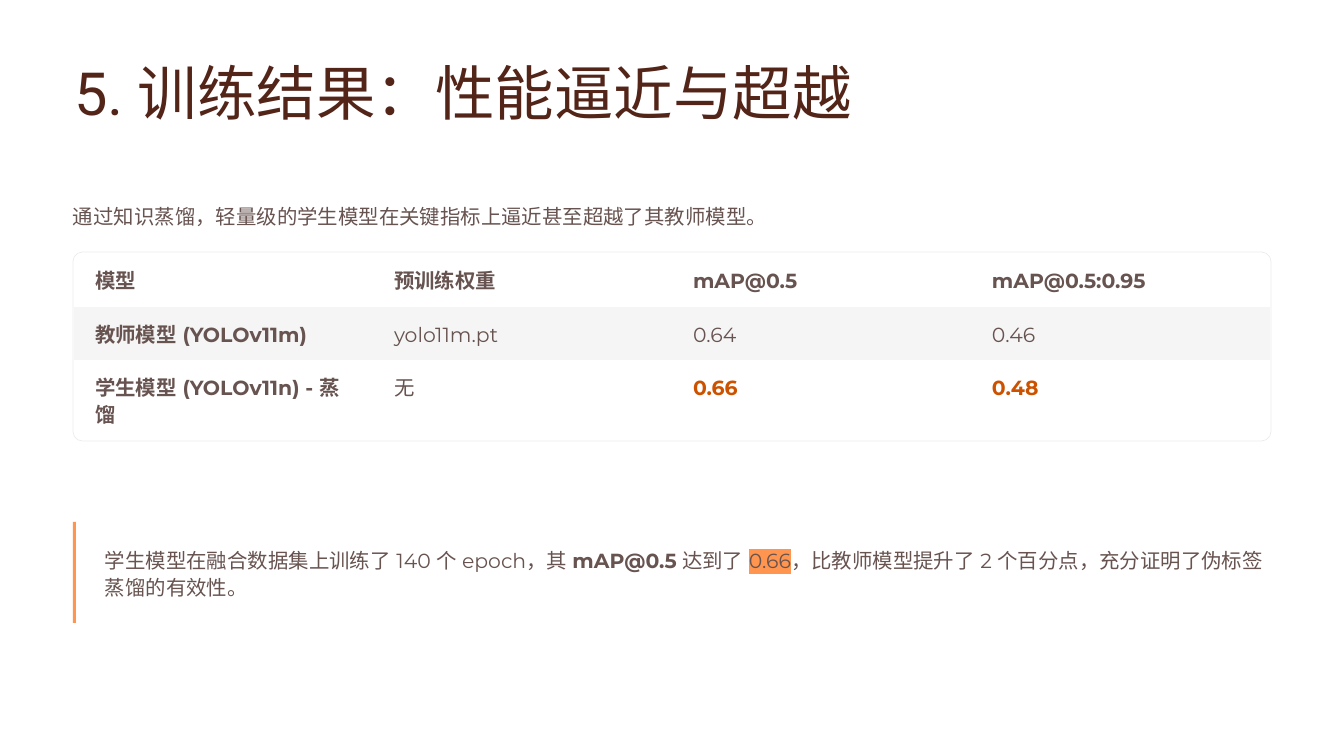
from dataclasses import dataclass

from lxml.etree import SubElement
from pptx import Presentation
from pptx.dml.color import RGBColor
from pptx.enum.shapes import MSO_SHAPE
from pptx.enum.text import MSO_ANCHOR, MSO_AUTO_SIZE, PP_ALIGN
from pptx.oxml.ns import qn
from pptx.util import Emu, Pt


@dataclass(frozen=True)
class Theme:
    """Colours, fonts and type sizes of the slide."""
    title: str = "532418"
    body: str = "67534F"
    best: str = "CC5200"
    accent: str = "FF954F"
    band: str = "F5F5F5"
    frame: str = "000000"
    title_font: str = "Roboto"
    body_font: str = "Montserrat"
    title_size: float = 51
    title_line: float = 66.5
    body_size: float = 17.5
    body_line: float = 23


THEME = Theme()
TITLE = "5. 训练结果：性能逼近与超越"
INTRO = "通过知识蒸馏，轻量级的学生模型在关键指标上逼近甚至超越了其教师模型。"
RESULTS = [
    ["模型", "预训练权重", "mAP@0.5", "mAP@0.5:0.95"],
    ["教师模型 (YOLOv11m)", "yolo11m.pt", "0.64", "0.46"],
    ["学生模型 (YOLOv11n) - 蒸馏", "无", "0.66", "0.48"],
]
ROW_HEIGHTS = [54, 53, 81]
FINDING = [
    ("学生模型在融合数据集上训练了 140 个 epoch，其 ", ""),
    ("mAP@0.5", "bold"),
    (" 达到了 ", ""),
    ("0.66", "highlight"),
    ("，比教师模型提升了 2 个百分点，充分证明了伪标签蒸馏的有效性。", ""),
]


def px(n):
    """Turn slide pixels into EMU."""
    return Emu(round(n * 914400 / 84))


def rgb(value):
    """Return the colour for a hex string."""
    return RGBColor.from_string(value)


def style_run(r, size, color, name, bold=False, highlight=None):
    """Format one run for Latin and Chinese text."""
    r.font.size = Pt(size)
    r.font.bold = bold
    r.font.color.rgb = rgb(color)
    rPr = r.font._element
    if highlight:
        mark = SubElement(rPr, qn("a:highlight"))
        SubElement(mark, qn("a:srgbClr"), val=highlight)
    r.font.name = name
    for tag in ("a:ea", "a:cs"):
        SubElement(rPr, qn(tag), typeface=name)


def style_body(p, color=THEME.body, bold=False):
    """Format a body paragraph and its runs."""
    p.line_spacing = Pt(THEME.body_line)
    for r in p.runs:
        style_run(r, THEME.body_size, color, THEME.body_font, bold)


def clear_insets(tf):
    """Remove the inner margins, anchor text at the top and wrap it."""
    tf.margin_left = tf.margin_right = tf.margin_top = tf.margin_bottom = 0
    tf.vertical_anchor = MSO_ANCHOR.TOP
    tf.auto_size = MSO_AUTO_SIZE.NONE
    tf.word_wrap = True


def add_text_frame(slide, x, y, w, h):
    """Add a wrapping text box without insets."""
    tf = slide.shapes.add_textbox(px(x), px(y), px(w), px(h)).text_frame
    clear_insets(tf)
    return tf


def add_title(slide, x, y, w, h):
    """Place and format the title placeholder."""
    sp = slide.shapes.title
    sp.left, sp.top, sp.width, sp.height = px(x), px(y), px(w), px(h)
    tf = sp.text_frame
    tf.text = TITLE
    clear_insets(tf)
    p = tf.paragraphs[0]
    p.alignment = PP_ALIGN.LEFT
    p.line_spacing = Pt(THEME.title_line)
    style_run(p.runs[0], THEME.title_size, THEME.title, THEME.title_font)


def add_intro(slide, x, y, w, h):
    """Add the sentence above the table."""
    p = add_text_frame(slide, x, y, w, h).paragraphs[0]
    p.text = INTRO
    style_body(p)


def add_frame(slide, x, y, w, h):
    """Add the faint rounded frame around the table."""
    sp = slide.shapes.add_shape(MSO_SHAPE.ROUNDED_RECTANGLE, px(x), px(y), px(w), px(h))
    sp.adjustments[0] = 0.05
    sp.shadow.inherit = False
    sp.fill.background()
    sp.line.color.rgb = rgb(THEME.frame)
    sp.line.width = Pt(0.6)
    color = sp.line._ln.find(".//" + qn("a:srgbClr"))
    SubElement(color, qn("a:alpha"), val="8000")


def format_cell(cell, row, col):
    """Format one table cell by its row and column."""
    cell.margin_left, cell.margin_right = px(21), px(21)
    cell.margin_top, cell.margin_bottom = px(14), px(12)
    cell.vertical_anchor = MSO_ANCHOR.TOP
    tcPr = cell._tc.get_or_add_tcPr()
    for side in ("L", "R", "T", "B"):
        border = SubElement(tcPr, qn(f"a:ln{side}"), w="0")
        SubElement(border, qn("a:noFill"))
    if row == 1:
        cell.fill.solid()
        cell.fill.fore_color.rgb = rgb(THEME.band)
    else:
        cell.fill.background()
    best = row == 2 and col >= 2
    style_body(cell.text_frame.paragraphs[0], THEME.best if best else THEME.body,
               row == 0 or col == 0 or best)


def add_results(slide, x, y, w, h):
    """Add the framed table of model scores."""
    add_frame(slide, x, y, w, h)
    cols = len(RESULTS[0])
    table = slide.shapes.add_table(len(RESULTS), cols, px(x + 1), px(y + 1),
                                   px(w - 2), px(h - 1)).table
    table.first_row = table.horz_banding = False
    for column in table.columns:
        column.width = px((w - 2) / cols)
    for i, values in enumerate(RESULTS):
        table.rows[i].height = px(ROW_HEIGHTS[i])
        for j, value in enumerate(values):
            cell = table.cell(i, j)
            cell.text = value
            format_cell(cell, i, j)


def add_finding(slide, x, y, w, h):
    """Add the closing remark with its accent bar."""
    p = add_text_frame(slide, x + 32, y + 24, w - 32, 54).paragraphs[0]
    p.line_spacing = Pt(THEME.body_line)
    for text, mark in FINDING:
        r = p.add_run()
        r.text = text
        style_run(r, THEME.body_size, THEME.body, THEME.body_font, mark == "bold",
                  THEME.accent if mark == "highlight" else None)
    bar = slide.shapes.add_shape(MSO_SHAPE.RECTANGLE, px(x), px(y), px(3), px(h))
    bar.shadow.inherit = False
    bar.fill.solid()
    bar.fill.fore_color.rgb = rgb(THEME.accent)
    bar.line.fill.background()


def main():
    """Build and save the slide."""
    prs = Presentation()
    prs.slide_width, prs.slide_height = px(1344), px(756)
    slide = prs.slides.add_slide(prs.slide_layouts[5])
    add_title(slide, 74, 50, 840, 78)
    add_intro(slide, 73, 202, 1198, 27)
    add_results(slide, 73, 252, 1198, 189)
    add_finding(slide, 73, 522, 1198, 101)
    prs.save("out.pptx")


if __name__ == "__main__":
    main()
